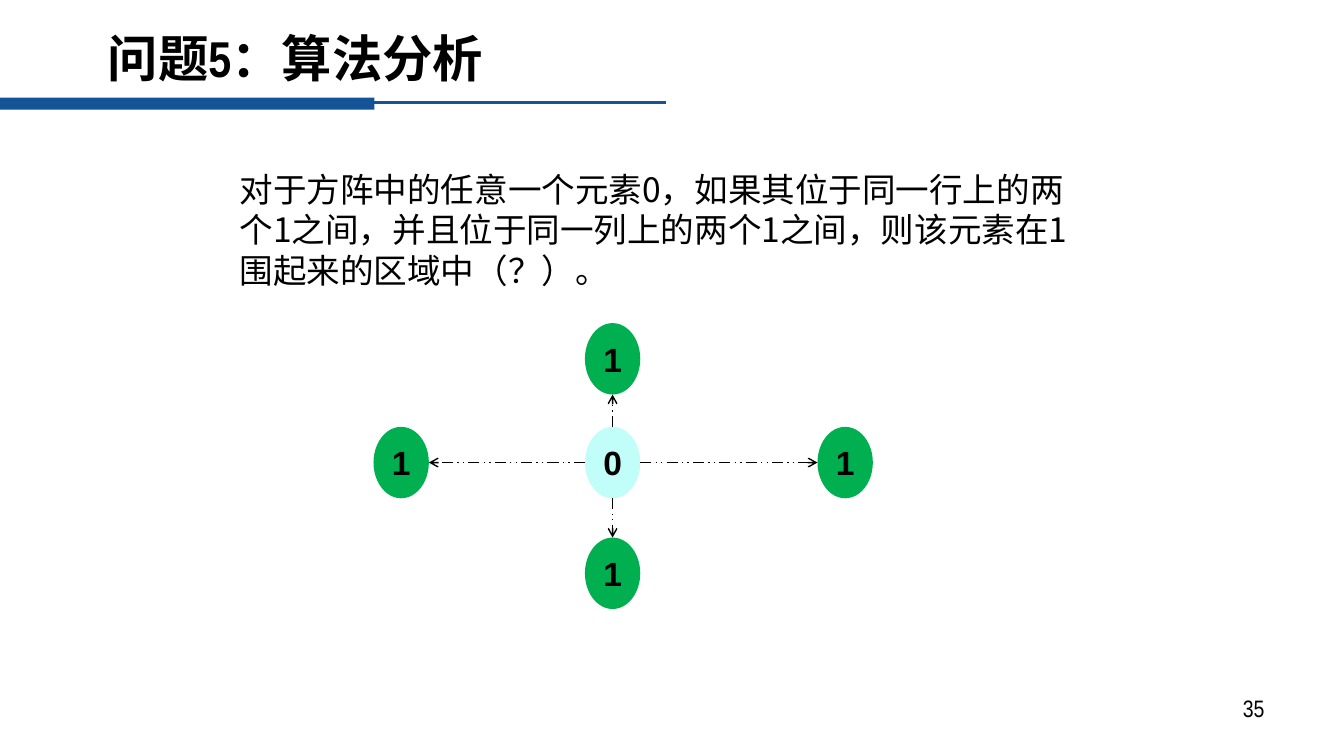
import pptx
import pptx.dml.color
import pptx.enum.dml
import pptx.enum.shapes
import pptx.enum.text
import pptx.oxml.ns
import pptx.util
from lxml import etree

Inches = pptx.util.Inches
PP_ALIGN = pptx.enum.text.PP_ALIGN
ANCHOR = pptx.enum.text.MSO_ANCHOR
SHAPE = pptx.enum.shapes.MSO_SHAPE
qn = pptx.oxml.ns.qn

THEME = {
    "blue": "145396", "green": "00B050", "cyan": "C1FEF9", "black": "000000",
    "title_size": 36, "body_size": 24, "number_size": 17,
    "narrow": "Arial Narrow", "node_font": "Arial", "chinese": "Noto Sans CJK SC",
}


def write(shape, text, size, font, bold=False, align=PP_ALIGN.LEFT,
          anchor=ANCHOR.TOP, margins=(0.12, 0.06), wrap=True):
    frame = shape.text_frame
    frame.text = text
    frame.word_wrap = wrap
    frame.vertical_anchor = anchor
    frame.margin_left = frame.margin_right = Inches(margins[0])
    frame.margin_top = frame.margin_bottom = Inches(margins[1])
    paragraph = frame.paragraphs[0]
    paragraph.alignment = align
    run = paragraph.runs[0]
    run.font.size = pptx.util.Pt(size)
    run.font.bold = bold
    run.font.name = font
    run.font.color.rgb = pptx.dml.color.RGBColor.from_string(THEME["black"])
    etree.SubElement(run.font._element, qn("a:ea"), typeface=THEME["chinese"])
    return paragraph


def draw_line(start, end, color, width):
    line = slide.shapes.add_connector(
        pptx.enum.shapes.MSO_CONNECTOR.STRAIGHT,
        *(Inches(value) for value in (*start, *end)))
    line.line.color.rgb = pptx.dml.color.RGBColor.from_string(color)
    line.line.width = pptx.util.Pt(width)
    etree.SubElement(line._element.spPr, qn("a:effectLst"))
    return line


deck = pptx.Presentation()
deck.slide_width, deck.slide_height = Inches(13.35), Inches(7.5)
slide = deck.slides.add_slide(deck.slide_layouts[6])

# Rule under the heading
heading_bar = slide.shapes.add_shape(
    SHAPE.RECTANGLE, 0, Inches(0.97), Inches(3.72), Inches(0.12))
heading_bar.shadow.inherit = False
heading_bar.fill.solid()
heading_bar.fill.fore_color.rgb = pptx.dml.color.RGBColor.from_string(THEME["blue"])
heading_bar.line.fill.background()
draw_line((3.68, 1.02), (6.62, 1.02), THEME["blue"], 2.25)

# Heading, page number and statement
heading = slide.shapes.add_textbox(Inches(0.95), Inches(0.17), Inches(11.95), Inches(0.92))
write(heading, "问题5：算法分析", THEME["title_size"], THEME["narrow"],
      bold=True, anchor=ANCHOR.MIDDLE).line_spacing = 0.8

page_number = slide.shapes.add_textbox(Inches(9.57), Inches(6.83), Inches(3.11), Inches(0.52))
write(page_number, "35", THEME["number_size"], THEME["narrow"], align=PP_ALIGN.RIGHT)

statement = slide.shapes.add_textbox(Inches(2.26), Inches(1.62), Inches(8.62), Inches(1.33))
write(statement,
      "对于方阵中的任意一个元素0，如果其位于同一行上的两个1之间，"
      "并且位于同一列上的两个1之间，则该元素在1围起来的区域中（？）。",
      THEME["body_size"], THEME["chinese"])

# Matrix elements: a 0 enclosed by four 1s
node_width, node_height = 0.55, 0.71
zero_left, zero_top = 5.81, 4.24
ones = [(3.71, zero_top), (zero_left, 5.34), (zero_left, 3.21), (8.12, zero_top)]
elements = [("1", one, THEME["green"]) for one in ones]
elements.append(("0", (zero_left, zero_top), THEME["cyan"]))
for digit, (left, top), color in elements:
    element = slide.shapes.add_shape(
        SHAPE.OVAL, Inches(left), Inches(top), Inches(node_width), Inches(node_height))
    element.shadow.inherit = False
    element.fill.solid()
    element.fill.fore_color.rgb = pptx.dml.color.RGBColor.from_string(color)
    element.line.fill.background()
    write(element, digit, THEME["body_size"], THEME["node_font"], bold=True,
          align=PP_ALIGN.CENTER, anchor=ANCHOR.MIDDLE, margins=(0, 0), wrap=False)

# Arrows from the edge of the 0 to the facing edge of each 1
center_x, center_y = zero_left + node_width / 2, zero_top + node_height / 2
for left, top in ones:
    side_x = (left > zero_left) - (left < zero_left)
    side_y = (top > zero_top) - (top < zero_top)
    reach_x, reach_y = side_x * node_width / 2, side_y * node_height / 2
    arrow = draw_line(
        (center_x + reach_x, center_y + reach_y),
        (left + node_width / 2 - reach_x, top + node_height / 2 - reach_y),
        THEME["black"], 1)
    arrow.line.dash_style = pptx.enum.dml.MSO_LINE.DASH_DOT_DOT
    etree.SubElement(arrow.line._get_or_add_ln(), qn("a:tailEnd"), type="arrow")

deck.save("out.pptx")
